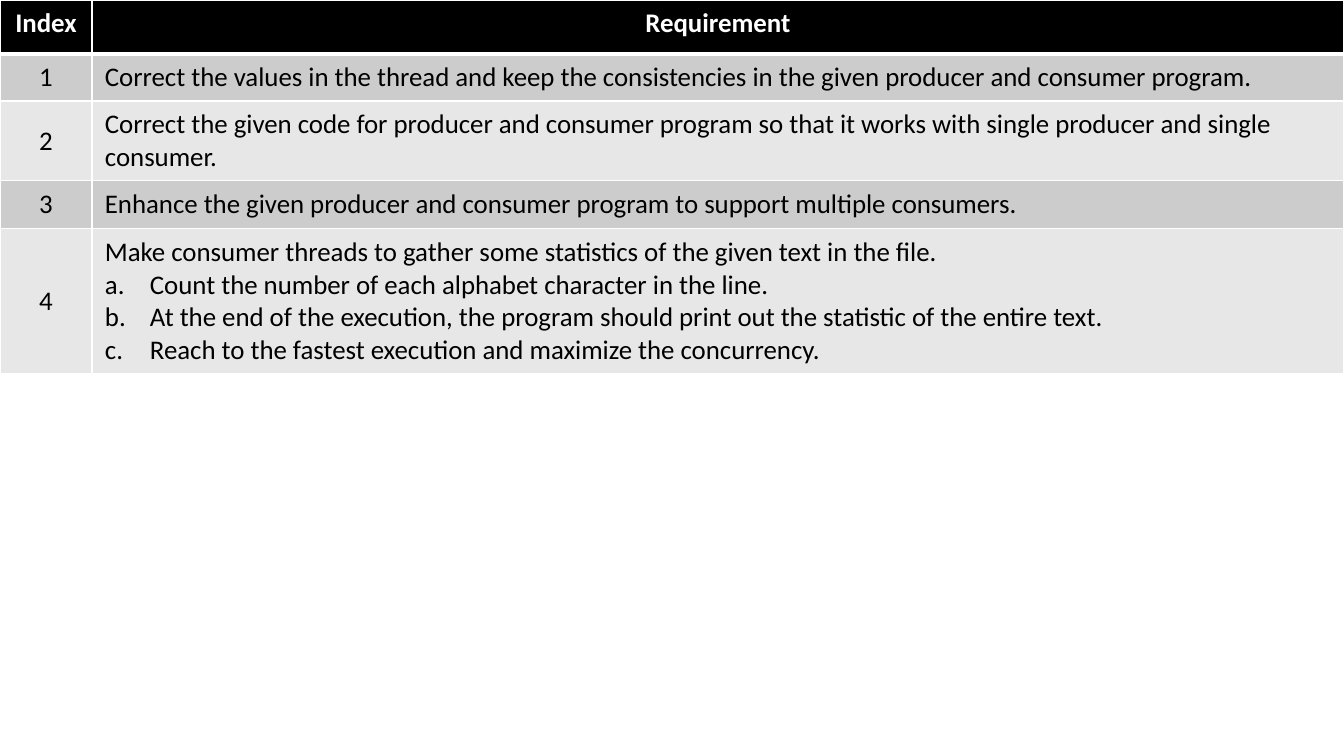
"""Build a slide with a table of numbered programming requirements."""
from dataclasses import dataclass

from lxml import etree
from pptx import Presentation
from pptx.dml.color import RGBColor
from pptx.enum.text import MSO_ANCHOR, PP_ALIGN
from pptx.oxml.ns import qn
from pptx.util import Emu, Pt

CENTER, LEFT = PP_ALIGN.CENTER, PP_ALIGN.LEFT
TOP, MIDDLE = MSO_ANCHOR.TOP, MSO_ANCHOR.MIDDLE

EMU_PER_PIXEL = 7557
SLIDE_WIDTH, SLIDE_HEIGHT = 1344, 756
INDEX_WIDTH = 92
SIDE_MARGIN, END_MARGIN = 13, 7
LIST_INDENT = 45
FONT_NAME, FONT_SIZE = "Calibri", 16
BLACK, WHITE = "000000", "FFFFFF"
BAND_FILLS = ("CCCCCC", "E7E7E7")
THIN_RULE, HEADER_RULE = 1, 3
BLANK_LAYOUT = 6


@dataclass(frozen=True)
class Requirement:
    """A requirement, its row height in pixels and its lettered steps."""
    text: str
    height: int
    steps: tuple[str, ...] = ()


@dataclass(frozen=True)
class CellStyle:
    """The look of one table cell."""
    fill: str
    color: str
    align: PP_ALIGN
    anchor: MSO_ANCHOR
    bold: bool = False
    top_rule: int = THIN_RULE
    bottom_rule: int = THIN_RULE


HEADER_HEIGHT = 54
REQUIREMENTS = (
    Requirement("Correct the values in the thread and keep the consistencies "
                "in the given producer and consumer program.", 47),
    Requirement("Correct the given code for producer and consumer program so that "
                "it works with single producer and single consumer.", 79),
    Requirement("Enhance the given producer and consumer program to support "
                "multiple consumers.", 48),
    Requirement("Make consumer threads to gather some statistics of the given text "
                "in the file.", 145, (
                    "Count the number of each alphabet character in the line.",
                    "At the end of the execution, the program should print out "
                    "the statistic of the entire text.",
                    "Reach to the fastest execution and maximize the concurrency.",
                )),
)


def px(pixels: int) -> Emu:
    """Convert pixels to EMU."""
    return Emu(pixels * EMU_PER_PIXEL)


def rgb(value: str) -> RGBColor:
    """Convert a hex string to a colour."""
    return RGBColor.from_string(value)


def add_borders(cell, style: CellStyle) -> None:
    """Draw the white rules around a cell."""
    rules = {"lnL": THIN_RULE, "lnR": THIN_RULE,
             "lnT": style.top_rule, "lnB": style.bottom_rule}
    properties = cell._tc.get_or_add_tcPr()
    for tag, width in rules.items():
        rule = etree.SubElement(properties, qn(f"a:{tag}"), w=str(Pt(width)))
        solid = etree.SubElement(rule, qn("a:solidFill"))
        etree.SubElement(solid, qn("a:srgbClr"), val=WHITE)


def letter_paragraph(paragraph) -> None:
    """Give a paragraph an automatic letter and a hanging indent."""
    properties = paragraph._p.get_or_add_pPr()
    properties.set("marL", str(px(LIST_INDENT)))
    properties.set("indent", str(-px(LIST_INDENT)))
    etree.SubElement(properties, qn("a:buFont"), typeface="+mj-lt")
    etree.SubElement(properties, qn("a:buAutoNum"), type="alphaLcPeriod")


def write_cell(cell, text: str, style: CellStyle, steps: tuple[str, ...] = ()) -> None:
    """Fill a cell with text and lettered steps, and format it."""
    add_borders(cell, style)
    cell.fill.solid()
    cell.fill.fore_color.rgb = rgb(style.fill)
    cell.margin_left = cell.margin_right = px(SIDE_MARGIN)
    cell.margin_top = cell.margin_bottom = px(END_MARGIN)
    cell.vertical_anchor = style.anchor
    cell.text_frame.text = "\n".join((text, *steps))
    paragraphs = cell.text_frame.paragraphs
    for paragraph in paragraphs:
        paragraph.alignment = style.align
        for run in paragraph.runs:
            run.font.name = FONT_NAME
            run.font.size = Pt(FONT_SIZE)
            run.font.bold = style.bold
            run.font.color.rgb = rgb(style.color)
    for paragraph in paragraphs[1:]:
        letter_paragraph(paragraph)


def add_requirements(slide) -> None:
    """Add the table of requirements across the slide."""
    heights = [HEADER_HEIGHT, *(item.height for item in REQUIREMENTS)]
    table = slide.shapes.add_table(
        len(heights), 2, 0, 0, px(SLIDE_WIDTH), px(sum(heights))).table
    table.columns[0].width = px(INDEX_WIDTH)
    table.columns[1].width = px(SLIDE_WIDTH - INDEX_WIDTH)
    for row, height in zip(table.rows, heights):
        row.height = px(height)

    header = CellStyle(BLACK, WHITE, CENTER, TOP, bold=True, bottom_rule=HEADER_RULE)
    for column, heading in enumerate(("Index", "Requirement")):
        write_cell(table.cell(0, column), heading, header)

    for number, item in enumerate(REQUIREMENTS, start=1):
        fill = BAND_FILLS[(number - 1) % len(BAND_FILLS)]
        top_rule = HEADER_RULE if number == 1 else THIN_RULE
        index_style = CellStyle(fill, BLACK, CENTER, MIDDLE, top_rule=top_rule)
        text_style = CellStyle(fill, BLACK, LEFT, TOP, top_rule=top_rule)
        write_cell(table.cell(number, 0), str(number), index_style)
        write_cell(table.cell(number, 1), item.text, text_style, item.steps)


def main() -> None:
    """Build and save the presentation."""
    presentation = Presentation()
    presentation.slide_width = px(SLIDE_WIDTH)
    presentation.slide_height = px(SLIDE_HEIGHT)
    slide = presentation.slides.add_slide(presentation.slide_layouts[BLANK_LAYOUT])
    add_requirements(slide)
    presentation.save("out.pptx")


main()
